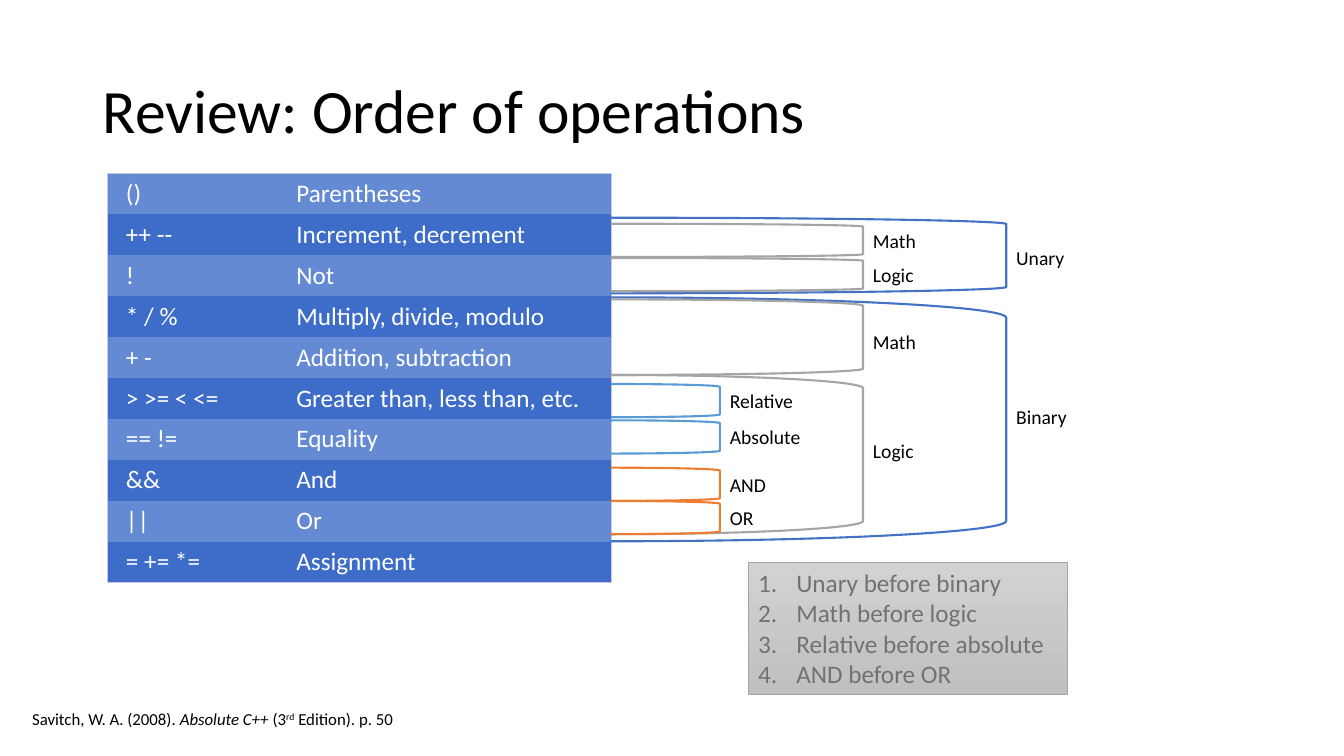
from lxml.etree import SubElement
from pptx import Presentation
from pptx.dml.color import RGBColor
from pptx.enum.shapes import MSO_SHAPE
from pptx.enum.text import MSO_ANCHOR, PP_ALIGN
from pptx.oxml import parse_xml
from pptx.oxml.ns import nsdecls, qn
from pptx.util import Pt

PX = 9144  # one hundredth of an inch
FONT = "Calibri"
COLORS = {
    "black": "000000", "white": "FFFFFF", "dark": "3D6DC9", "light": "648AD4",
    "edge": "C1C9E4", "blue": "4472C4", "gray": "A5A5A5", "sky": "5B9BD5",
    "orange": "ED7D31", "note": "767171", "top": "D2D2D2", "base": "C0C0C0",
}
PLAIN_GRID = "{2D5ABB26-0587-4C30-8999-92F81FD0307C}"

OPS = [
    ("()", "Parentheses"),
    ("++ --", "Increment, decrement"),
    ("!", "Not"),
    ("* / %", "Multiply, divide, modulo"),
    ("+ -", "Addition, subtraction"),
    ("> >= < <=", "Greater than, less than, etc."),
    ("== !=", "Equality"),
    ("&&", "And"),
    ("||", "Or"),
    ("= += *=", "Assignment"),
]
RULES = ["Unary before binary", "Math before logic",
         "Relative before absolute", "AND before OR"]
SOURCE = [
    ("Savitch, W. A. (2008). ", {}, 0),
    ("Absolute C++ ", {"italic": True}, 0),
    ("(3", {}, 0),
    ("rd", {}, 30000),
    (" Edition). p. 50", {}, 0),
]
# Per level: width, colour, then (label, top, height, label top)
LEVELS = [
    (392, "blue", [("Unary", 216, 75, 239), ("Binary", 295, 242, 397)]),
    (250, "gray", [("Math", 222, 33, 222), ("Logic", 256, 33, 256),
                   ("Math", 297, 75, 322), ("Logic", 372, 158, 431)]),
    (108, "sky", [("Relative", 381, 33, 381), ("Absolute", 417, 33, 417)]),
    (108, "orange", [("AND", 464, 33, 464), ("OR", 497, 33, 497)]),
]


def rgb(name):
    return RGBColor.from_string(COLORS[name])


def scale(*box):
    return [n * PX for n in box]


def put(part, **values):
    """Set each named attribute of the part."""
    for name, value in values.items():
        setattr(part, name, value)


def write(para, text, size, color="black", **values):
    run = para.add_run()
    run.text = text
    put(run.font, name=FONT, size=Pt(size), **values)
    run.font.color.rgb = rgb(color)
    return run


def text_box(slide, box, **values):
    frame = slide.shapes.add_textbox(*scale(*box)).text_frame
    put(frame, word_wrap=True, **values)
    return frame.paragraphs[0]


def indent(para, size):
    props = para._p.get_or_add_pPr()
    props.set("marL", str(size * PX))
    props.set("indent", str(-size * PX))
    return props


def add_title(slide, box):
    para = text_box(slide, box, vertical_anchor=MSO_ANCHOR.MIDDLE)
    para.line_spacing = 0.9
    write(para, "Review: Order of operations", 44)


def edge(cell, sides):
    """Draw a thin line on the given sides, in the order L, R, T, B."""
    props = cell._tc.get_or_add_tcPr()
    for spot, side in enumerate(sides):
        props.insert(spot, parse_xml(
            f'<a:ln{side} {nsdecls("a")} w="6350"><a:solidFill>'
            f'<a:srgbClr val="{COLORS["edge"]}"/></a:solidFill></a:ln{side}>'))


def add_ops(slide, box):
    last = len(OPS) - 1
    table = slide.shapes.add_table(len(OPS), 2, *scale(*box)).table
    put(table, first_row=False, horz_banding=False)
    table._tbl.tblPr.find(qn("a:tableStyleId")).text = PLAIN_GRID
    for col, width in zip(table.columns, (169, box[2] - 169)):
        col.width = width * PX
    for r, pair in enumerate(OPS):
        table.rows[r].height = box[3] * PX // len(OPS)
        for c, text in enumerate(pair):
            cell = table.cell(r, c)
            put(cell, margin_left=19 * PX, margin_right=19 * PX,
                margin_top=5 * PX, margin_bottom=5 * PX)
            cell.fill.solid()
            cell.fill.fore_color.rgb = rgb("dark" if r % 2 else "light")
            write(cell.text_frame.paragraphs[0], text, 18, "white")
            edge(cell, "LR"[c] + "T" * (r == 0) + "B" * (r == last))


def add_source(slide, box):
    para = text_box(slide, box)
    para.line_spacing = 0.9
    indent(para, 25)
    for text, values, raised in SOURCE:
        run = write(para, text, 12, **values)
        if raised:
            run.font._element.set("baseline", str(raised))


def add_rules(slide, box):
    note = slide.shapes.add_shape(MSO_SHAPE.RECTANGLE, *scale(*box))
    note.shadow.inherit = False
    note.fill.gradient()
    note.fill.gradient_angle = 270
    for stop, color in zip(note.fill.gradient_stops, ("top", "base")):
        stop.color.rgb = rgb(color)
    note.line.color.rgb = rgb("gray")
    note.line.width = Pt(0.5)
    frame = note.text_frame
    put(frame, word_wrap=True, vertical_anchor=MSO_ANCHOR.TOP)
    for i, rule in enumerate(RULES):
        para = frame.add_paragraph() if i else frame.paragraphs[0]
        para.alignment = PP_ALIGN.LEFT
        props = indent(para, 38)
        SubElement(props, qn("a:buFont"), typeface="+mj-lt")
        SubElement(props, qn("a:buAutoNum"), type="arabicPeriod")
        write(para, rule, 18, "note")


def add_group(slide, box, color, label, top):
    """Draw a bracket in the box, with its label on the right."""
    x, y, w, h = box
    mark = slide.shapes.add_shape(MSO_SHAPE.RIGHT_BRACKET, *scale(*box))
    mark.shadow.inherit = False
    mark.fill.background()
    mark.line.color.rgb = rgb(color)
    mark.line.width = Pt(1.5)
    write(text_box(slide, (x + w, top, 110, 34)), label, 14)


def add_levels(slide, left):
    for width, color, groups in LEVELS:
        for label, y, height, top in groups:
            add_group(slide, (left, y, width, height), color, label, top)


def main():
    deck = Presentation()
    put(deck, slide_width=1333 * PX, slide_height=750 * PX)
    slide = deck.slides.add_slide(deck.slide_layouts[6])
    ops = (106, 172, 500, 406)
    add_title(slide, (92, 40, 1150, 145))
    add_ops(slide, ops)
    add_source(slide, (22, 700, 1289, 50))
    add_rules(slide, (742, 558, 317, 131))
    add_levels(slide, ops[0] + ops[2])
    deck.save("out.pptx")


if __name__ == "__main__":
    main()
